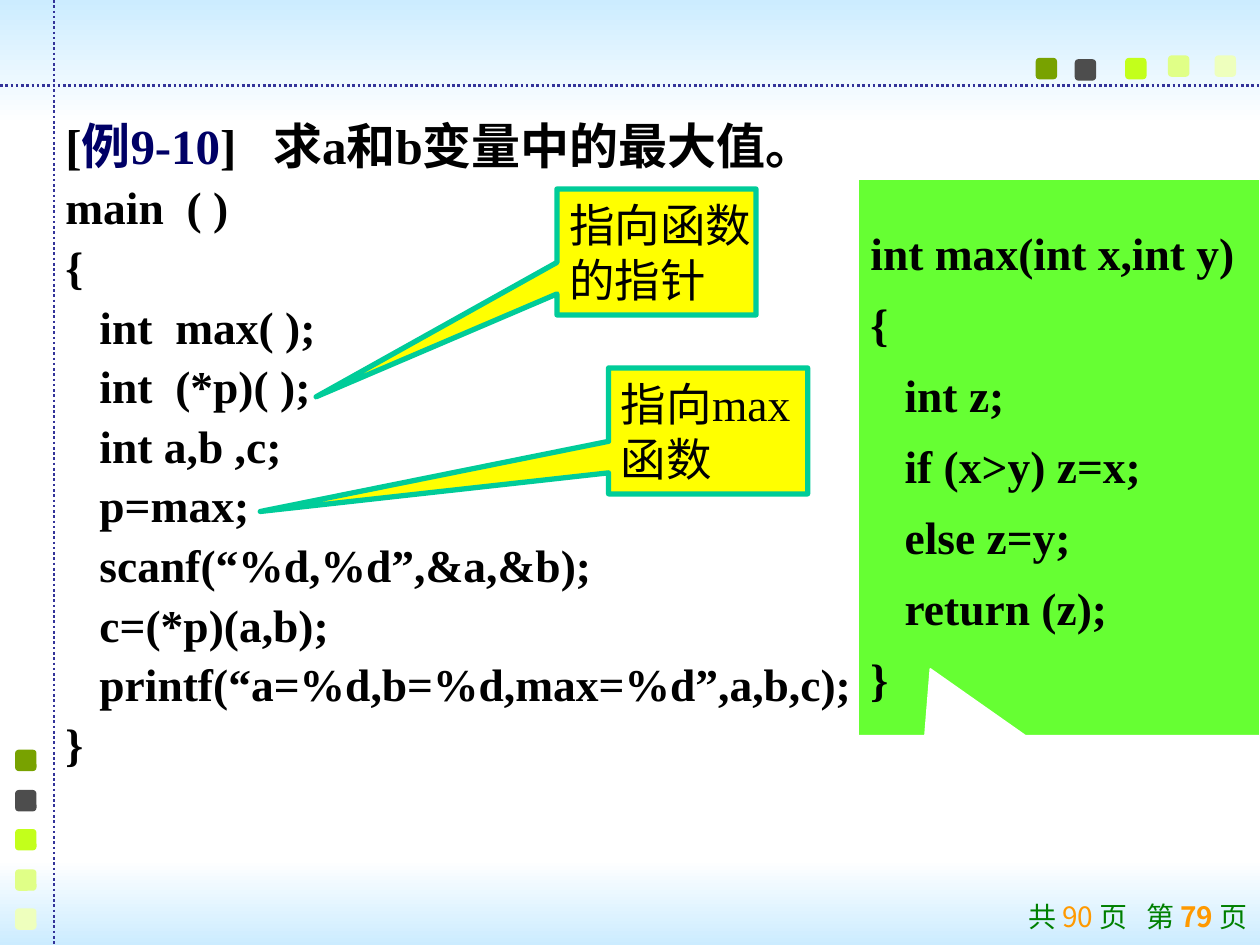
import pptx
import pptx.util
import pptx.dml.color
import pptx.enum.dml
import pptx.enum.shapes
import pptx.enum.text
import pptx.oxml.ns
import pptx.oxml.xmlchemy
from dataclasses import dataclass

Inches = pptx.util.Inches
Pt = pptx.util.Pt
MSO_SHAPE = pptx.enum.shapes.MSO_SHAPE


@dataclass(frozen=True)
class Theme:
    latin: str = "Times New Roman"
    cjk: str = "Noto Sans CJK SC"
    title: int = 28
    body: int = 26
    footer: int = 16
    black: str = "000000"
    white: str = "FFFFFF"
    sky: str = "CCECFF"
    rule: str = "333399"
    navy: str = "000066"
    green: str = "008000"
    orange: str = "FF9900"
    panel: str = "66FF33"
    note: str = "FFFF00"
    note_line: str = "00CC99"
    squares: tuple = ("78A200", "4D4D4D", "C3FF1B", "E0FF87", "EEFFBD")


def rgb(value):
    return pptx.dml.color.RGBColor.from_string(value)


class SlideBuilder:
    def __init__(self, slide, theme):
        self.slide = slide
        self.theme = theme

    def shape(self, kind, x, y, w, h, fill=None):
        sp = self.slide.shapes.add_shape(kind, Inches(x), Inches(y), Inches(w), Inches(h))
        sp.shadow.inherit = False
        sp.line.fill.background()
        if fill:
            sp.fill.solid()
            sp.fill.fore_color.rgb = rgb(fill)
        return sp

    def band(self, y, h, colors):
        sp = self.shape(MSO_SHAPE.RECTANGLE, 0, y, 10, h)
        sp.fill.gradient()
        sp.fill.gradient_angle = 270
        for stop, color, position in zip(sp.fill.gradient_stops, colors, (0, 1)):
            stop.color.rgb = rgb(color)
            stop.position = position

    def square(self, x, y, color):
        sp = self.shape(MSO_SHAPE.ROUNDED_RECTANGLE, x, y, 0.17, 0.17, color)
        sp.adjustments[0] = 0.17

    def dotted_line(self, x1, y1, x2, y2):
        line = self.slide.shapes.add_connector(
            pptx.enum.shapes.MSO_CONNECTOR.STRAIGHT,
            Inches(x1), Inches(y1), Inches(x2), Inches(y2))
        line.line.color.rgb = rgb(self.theme.rule)
        line.line.width = Pt(1.5)
        line.line.dash_style = pptx.enum.dml.MSO_LINE.ROUND_DOT
        line._element.spPr.append(pptx.oxml.xmlchemy.OxmlElement("a:effectLst"))

    def format_run(self, r, size, color, bold=False, latin=None, spacing=0):
        r.font.size = Pt(size)
        r.font.bold = bold
        r.font.color.rgb = rgb(color)
        r.font.name = latin or self.theme.latin
        rPr = r._r.get_or_add_rPr()
        ea = pptx.oxml.xmlchemy.OxmlElement("a:ea")
        ea.set("typeface", self.theme.cjk)
        rPr.find(pptx.oxml.ns.qn("a:latin")).addnext(ea)
        if spacing:
            rPr.set("spc", str(spacing * 100))

    def add_run(self, p, text, size, color, **style):
        r = p.add_run()
        r.text = text
        self.format_run(r, size, color, **style)

    def add_lines(self, tf, lines, bold, line_spacing=1.0, space_before=0, first_used=False):
        for i, text in enumerate(lines):
            first = i == 0 and not first_used
            p = tf.paragraphs[0] if first else tf.add_paragraph()
            p.text = text
            p.alignment = pptx.enum.text.PP_ALIGN.LEFT
            p.line_spacing = line_spacing
            if not first:
                p.space_before = Pt(space_before)
            for r in p.runs:
                self.format_run(r, self.theme.body, self.theme.black, bold)

    def text_box(self, x, y, w, h):
        sp = self.slide.shapes.add_textbox(Inches(x), Inches(y), Inches(w), Inches(h))
        tf = sp.text_frame
        tf.word_wrap = True
        return tf

    def callout(self, box, tip, fill, line, width, lines, bold=False, line_spacing=1.0):
        sp = self.shape(MSO_SHAPE.RECTANGULAR_CALLOUT, *box, fill)
        sp.adjustments[0], sp.adjustments[1] = tip
        sp.line.color.rgb = rgb(line)
        sp.line.width = Pt(width)
        tf = sp.text_frame
        tf.word_wrap = False
        tf.vertical_anchor = pptx.enum.text.MSO_ANCHOR.MIDDLE
        self.add_lines(tf, lines, bold, line_spacing)


def main():
    prs = pptx.Presentation()
    prs.slide_width, prs.slide_height = Inches(10), Inches(7.5)
    theme = Theme()
    s = SlideBuilder(prs.slides.add_slide(prs.slide_layouts[6]), theme)

    s.band(0, 0.99, (theme.sky, theme.white))
    s.band(6.82, 0.68, (theme.white, theme.sky))
    s.dotted_line(0, 0.68, 10, 0.68)
    top_spots = ((8.22, 0.46), (8.53, 0.47), (8.93, 0.46), (9.27, 0.44), (9.64, 0.44))
    for i, (color, spot) in enumerate(zip(theme.squares, top_spots)):
        s.square(*spot, color)
        s.square(0.12, round(5.95 + 0.315 * i, 2), color)
    s.dotted_line(0.43, 0, 0.43, 7.5)

    p = s.text_box(7.37, 7.09, 2.63, 0.36).paragraphs[0]
    p.alignment = pptx.enum.text.PP_ALIGN.RIGHT
    for text, color, bold, spacing in (
            ("共 ", theme.green, False, 0), ("90 ", theme.orange, False, 0),
            ("页", theme.green, False, 0), (" ", theme.green, False, 7),
            ("第 ", theme.green, False, 0), ("79 ", theme.orange, True, 0),
            ("页", theme.green, False, 0)):
        s.add_run(p, text, theme.footer, color, bold=bold, latin=theme.cjk, spacing=spacing)

    tf = s.text_box(0.42, 0.92, 9.08, 5.3)
    p = tf.paragraphs[0]
    p.line_spacing = 0.9
    for text, color, spacing in (
            ("[", theme.black, 0), ("例9-10", theme.navy, 0), ("]", theme.black, 0),
            (" ", theme.black, 14), ("求a和b变量中的最大值。", theme.black, 0)):
        s.add_run(p, text, theme.title, color, bold=True, spacing=spacing)
    s.add_lines(tf, (
        "main  ( )",
        "{",
        "   int  max( );",
        "   int  (*p)( );",
        "   int a,b ,c;",
        "   p=max;",
        "   scanf(“%d,%d”,&a,&b);",
        "   c=(*p)(a,b);",
        "   printf(“a=%d,b=%d,max=%d”,a,b,c);",
        "}"), True, 0.9, 6, first_used=True)

    s.callout((6.81, 1.42, 3.19, 4.42), (-0.32, 0.38), theme.panel, theme.white, 1, (
        "int max(int x,int y)",
        "{",
        "   int z;",
        "   if (x>y) z=x;",
        "   else z=y;",
        "   return (z);",
        "}"), True, 1.3)
    for box, tip, lines in (
            ((4.42, 1.5, 1.58, 1), (-1.71, 1.15), ("指向函数", "的指针")),
            ((4.83, 2.92, 1.58, 1), (-2.25, 0.64), ("指向max", "函数"))):
        s.callout(box, tip, theme.note, theme.note_line, 3, lines)

    prs.save("out.pptx")


if __name__ == "__main__":
    main()
